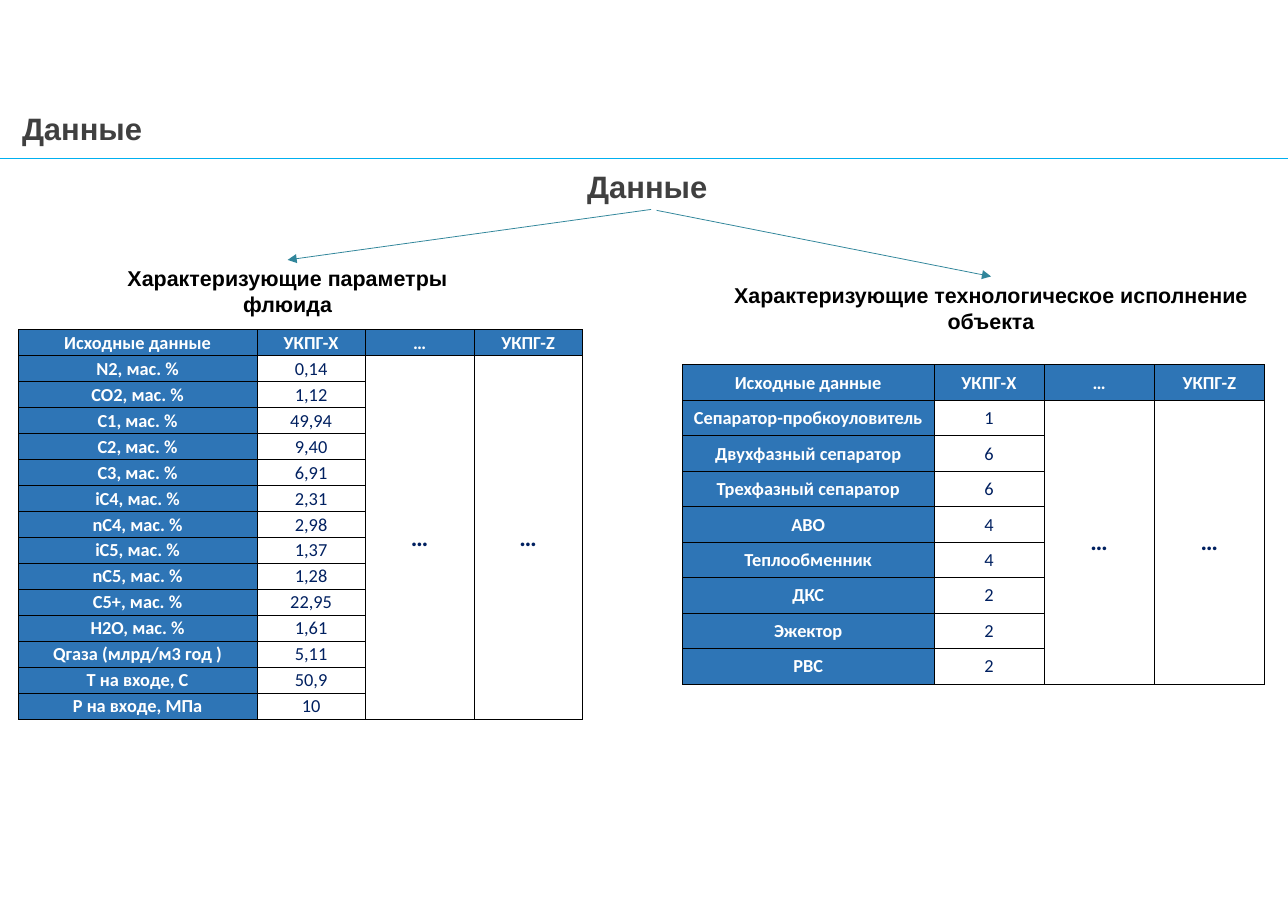
from lxml.etree import SubElement
from pptx import Presentation
from pptx.dml.color import RGBColor
from pptx.enum.shapes import MSO_CONNECTOR
from pptx.enum.text import MSO_ANCHOR, MSO_AUTO_SIZE, PP_ALIGN
from pptx.oxml import parse_xml
from pptx.oxml.ns import nsdecls, qn
from pptx.util import Pt

SLIDE_WIDTH, SLIDE_HEIGHT = 841.68, 595.44
HEADING = "Данные"
HEADER = ("Исходные данные", "УКПГ-X", "…", "УКПГ-Z")
FLUID_ROWS = [
    ("N2, мас. %", "0,14"), ("CO2, мас. %", "1,12"), ("C1, мас. %", "49,94"),
    ("C2, мас. %", "9,40"), ("C3, мас. %", "6,91"), ("iC4, мас. %", "2,31"),
    ("nC4, мас. %", "2,98"), ("iC5, мас. %", "1,37"), ("nC5, мас. %", "1,28"),
    ("С5+, мас. %", "22,95"), ("H2O, мас. %", "1,61"),
    ("Qгаза (млрд/м3 год )", "5,11"), ("Т на входе, С", "50,9"),
    ("Р на входе, МПа", "10"),
]
EQUIPMENT_ROWS = [
    ("Сепаратор-пробкоуловитель", "1"), ("Двухфазный сепаратор", "6"),
    ("Трехфазный сепаратор", "6"), ("АВО", "4"), ("Теплообменник", "4"),
    ("ДКС", "2"), ("Эжектор", "2"), ("РВС", "2"),
]
# caption, caption box, arrow start, rows, table corner, column widths, row height
BRANCHES = [
    ("Характеризующие параметры флюида", (46.1, 169.9, 283.7, 41.2), (425.5, 136.9),
     FLUID_ROWS, (12, 215.3), (155.9, 70.9), 17),
    ("Характеризующие технологическое исполнение объекта", (446.4, 180.7, 402.5, 41.2),
     (429.1, 137.5), EQUIPMENT_ROWS, (446.1, 238.3), (164.2, 72), 23.2),
]
BLUE, NAVY, WHITE, BLACK, GRAY = "2E75B6", "002060", "FFFFFF", "000000", "404040"
CYAN, TEAL = "00B0F0", "31869B"


def color(value):
    return RGBColor.from_string(value)


def add_run(paragraph, text, size, font, hex_color, bold=True):
    run = paragraph.add_run()
    run.text = text
    run.font.size, run.font.name, run.font.bold = Pt(size), font, bold
    run.font.color.rgb = color(hex_color)


def add_line(slide, start, end, hex_color, width):
    line = slide.shapes.add_connector(MSO_CONNECTOR.STRAIGHT, *map(Pt, (*start, *end)))
    line.line.color.rgb, line.line.width = color(hex_color), Pt(width)
    SubElement(line.element.spPr, qn("a:effectLst"))
    return line


def add_arrow(slide, start, target):
    """Draw an arrow to the middle of the target's top side."""
    end = ((target.left + target.width / 2) / Pt(1), target.top / Pt(1))
    arrow = add_line(slide, start, end, TEAL, 0.5)
    arrow.end_connect(target, 0)
    outline = arrow.line._get_or_add_ln()
    SubElement(outline, qn("a:tailEnd"), type="triangle")


def add_text_box(slide, box):
    shape = slide.shapes.add_textbox(*map(Pt, box))
    shape.text_frame.word_wrap = True
    return shape


def fill_heading(shape):
    frame = shape.text_frame
    frame.vertical_anchor, frame.auto_size = MSO_ANCHOR.TOP, MSO_AUTO_SIZE.NONE
    frame.margin_left = frame.margin_right = Pt(6.5)
    frame.margin_top = frame.margin_bottom = Pt(3)
    paragraph = frame.paragraphs[0]
    paragraph.alignment, paragraph.line_spacing = PP_ALIGN.LEFT, 0.9
    paragraph.space_before = Pt(0)
    add_run(paragraph, HEADING, 20.2, "Arial", GRAY)


def add_caption(slide, text, box):
    caption = add_text_box(slide, box)
    caption.text_frame.auto_size = MSO_AUTO_SIZE.SHAPE_TO_FIT_TEXT
    paragraph = caption.text_frame.paragraphs[0]
    paragraph.alignment = PP_ALIGN.CENTER
    add_run(paragraph, text, 14, "Arial", BLACK)
    return caption


def format_cell(cell, filled):
    properties = cell._tc.get_or_add_tcPr()
    for side in ("lnL", "lnR", "lnT", "lnB"):
        properties.append(parse_xml(
            f'<a:{side} {nsdecls("a")} w="{Pt(0.5)}"><a:solidFill>'
            f'<a:srgbClr val="{BLACK}"/></a:solidFill></a:{side}>'))
    if filled:
        cell.fill.solid()
        cell.fill.fore_color.rgb = color(BLUE)
    else:
        cell.fill.background()
    cell.vertical_anchor = MSO_ANCHOR.MIDDLE
    cell.margin_left = cell.margin_right = cell.margin_top = Pt(0.7)
    cell.margin_bottom = Pt(0)


def add_data_table(slide, data, corner, column_widths, row_height):
    label_width, value_width = column_widths
    widths = [label_width] + [value_width] * (len(HEADER) - 1)
    rows = [HEADER] + data
    table = slide.shapes.add_table(
        len(rows), len(widths), *map(Pt, corner),
        Pt(sum(widths)), Pt(row_height * len(rows))).table
    table.first_row = table.horz_banding = False
    for column, width in zip(table.columns, widths):
        column.width = Pt(width)
    for row in table.rows:
        row.height = Pt(row_height)
    for column in (2, 3):
        table.cell(1, column).merge(table.cell(len(data), column))
    for row in range(len(rows)):
        for column in range(len(widths)):
            cell = table.cell(row, column)
            filled = row == 0 or column == 0
            format_cell(cell, filled)
            if cell.is_spanned:
                continue
            merged = cell.is_merge_origin
            paragraph = cell.text_frame.paragraphs[0]
            paragraph.alignment = PP_ALIGN.CENTER
            add_run(paragraph, "…" if merged else rows[row][column],
                    16 if merged else 12, "Calibri",
                    WHITE if filled else NAVY, filled or merged)


def main():
    presentation = Presentation()
    presentation.slide_width, presentation.slide_height = Pt(SLIDE_WIDTH), Pt(SLIDE_HEIGHT)
    slide = presentation.slides.add_slide(presentation.slide_layouts[5])
    add_line(slide, (0, 103.7), (SLIDE_WIDTH, 103.7), CYAN, 1)
    title = slide.shapes.title
    title.left, title.top, title.width, title.height = map(Pt, (7.9, 71.3, SLIDE_WIDTH, 33.8))
    fill_heading(title)
    fill_heading(add_text_box(slide, (377.3, 109.4, 113, 29.5)))
    for text, box, start, data, corner, column_widths, row_height in BRANCHES:
        add_data_table(slide, data, corner, column_widths, row_height)
        add_arrow(slide, start, add_caption(slide, text, box))
    presentation.save("out.pptx")


if __name__ == "__main__":
    main()
